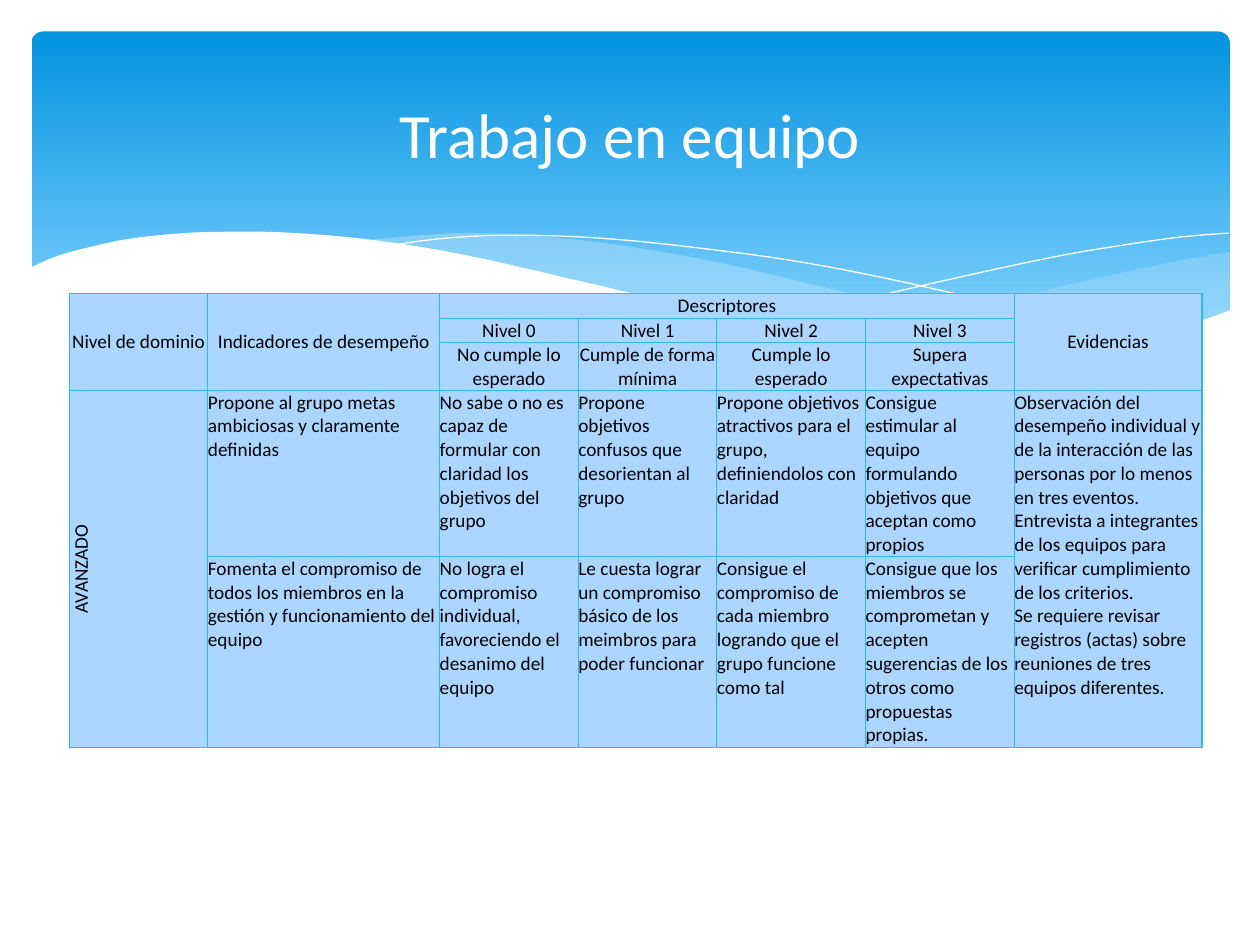
from lxml.etree import SubElement
from pptx import Presentation
from pptx.dml.color import RGBColor
from pptx.enum.shapes import MSO_SHAPE
from pptx.enum.text import MSO_ANCHOR, PP_ALIGN
from pptx.oxml.ns import qn
from pptx.util import Inches, Pt

WHITE = RGBColor(255, 255, 255)
BLACK = RGBColor(0, 0, 0)
DEEP = RGBColor(0x02, 0x93, 0xE0)
LIGHT = RGBColor(0x83, 0xD3, 0xFE)
MIST = RGBColor(0xC6, 0xE7, 0xFC)
CELL = RGBColor(0xAB, 0xD6, 0xFF)
EDGE = RGBColor(0x31, 0xB6, 0xFD)

TITLE = "Trabajo en equipo"
ROWS = [
    ["Nivel de dominio", "Indicadores de desempeño", "Descriptores", "", "", "", "Evidencias"],
    ["", "", "Nivel 0", "Nivel 1", "Nivel 2", "Nivel 3", ""],
    ["", "", "No cumple lo esperado", "Cumple de forma mínima",
     "Cumple lo esperado", "Supera expectativas", ""],
    ["AVANZADO",
     "Propone al grupo metas ambiciosas y claramente definidas",
     "No sabe o no es capaz de formular con claridad los objetivos del grupo",
     "Propone objetivos confusos que desorientan al grupo",
     "Propone objetivos atractivos para el grupo, definiendolos con claridad",
     "Consigue estimular al equipo formulando objetivos que aceptan como propios",
     "Observación del desempeño individual y de la interacción de las personas "
     "por lo menos en tres eventos.\n"
     "Entrevista a integrantes de los equipos para verificar cumplimiento de los criterios.\n"
     "Se requiere revisar registros (actas) sobre reuniones de tres equipos diferentes."],
    ["",
     "Fomenta el compromiso de todos los miembros en la gestión y funcionamiento del equipo",
     "No logra el compromiso individual, favoreciendo el desanimo del equipo",
     "Le cuesta lograr un compromiso básico de los meimbros para poder funcionar",
     "Consigue el compromiso de cada miembro logrando que el grupo funcione como tal",
     "Consigue que los miembros se comprometan y acepten sugerencias de los otros "
     "como propuestas propias.", ""],
]
WIDTHS = [1.1, 1.84, 1.1, 1.1, 1.18, 1.18, 1.49]
HEIGHTS = [0.2, 0.19, 0.38, 1.32, 1.51]
HEADS = 3
SPANS = [((0, 0), (2, 0)), ((0, 1), (2, 1)), ((0, 2), (0, 5)),
         ((0, 6), (2, 6)), ((3, 0), (4, 0)), ((3, 6), (4, 6))]

WAVES = [
    dict(curves=[
        [(9.76, 2), (9.35, 2.07), (8.61, 2.23), (7.79, 2.42), (7.06, 2.57), (6.61, 2.65)],
        [(6.61, 2.65), (7.05, 2.71), (7.57, 2.76), (8.03, 2.78), (8.54, 2.76),
         (8.97, 2.7), (9.35, 2.62), (9.76, 2.47)]], color=MIST, alpha=29),
    dict(curves=[
        [(8.93, 2.73), (8.37, 2.65), (7.75, 2.54), (7.06, 2.4), (6.29, 2.22), (5.69, 2.08),
         (5.14, 1.98), (4.65, 1.91), (4.2, 1.87), (3.8, 1.85), (3.44, 1.86), (2.86, 1.91)],
        [(2.86, 1.91), (3.42, 1.99), (4.04, 2.11), (4.91, 2.32), (5.66, 2.48), (6.34, 2.61),
         (6.95, 2.7), (7.48, 2.76), (8.07, 2.78), (8.48, 2.77), (8.93, 2.73)]],
        color=MIST, alpha=40),
    dict(curves=[
        [(3.09, 1.95), (3.44, 1.9), (3.87, 1.87), (4.33, 1.87), (4.89, 1.9), (5.56, 1.97),
         (6.36, 2.08), (7.27, 2.26), (8.31, 2.51), (9.07, 2.72)]]),
    dict(curves=[
        [(6.13, 2.57), (6.72, 2.41), (7.48, 2.23), (8.36, 2.04), (8.95, 1.94),
         (9.38, 1.88), (9.75, 1.85)]]),
    dict(curves=[
        [(9.77, 2.46), (9.4, 2.59), (8.99, 2.69), (8.5, 2.75), (8.09, 2.77), (7.61, 2.75),
         (7.08, 2.7), (6.48, 2.62), (5.79, 2.5), (5.03, 2.33), (4.47, 2.2), (3.91, 2.07),
         (3.4, 1.97), (2.92, 1.9), (2.5, 1.86), (2.11, 1.84), (1.77, 1.84), (1.46, 1.85),
         (1.06, 1.89), (0.76, 1.95), (0.46, 2.03), (0.23, 2.13)],
        [(0.23, 3.29), (9.77, 3.29)]], color=WHITE, alpha=100),
]


def write(frame, text, size=11, color=BLACK, align=PP_ALIGN.LEFT):
    frame.word_wrap = True
    for n, line in enumerate(text.split("\n")):
        para = frame.paragraphs[0] if n == 0 else frame.add_paragraph()
        para.alignment = align
        run = para.add_run()
        run.text = line
        run.font.size = Pt(size)
        run.font.name = "Calibri"
        run.font.color.rgb = color


def smooth(knots, steps=4):
    if len(knots) < 3:
        return knots
    pads = [knots[0], *knots, knots[-1]]
    dots = []
    for a, b, c, d in zip(pads, pads[1:], pads[2:], pads[3:]):
        for t in (k / steps for k in range(steps)):
            dots.append(tuple(
                q + t * (r - p) / 2 + t**2 * (2 * p - 5 * q + 4 * r - s) / 2
                + t**3 * (3 * q - p - 3 * r + s) / 2
                for p, q, r, s in zip(a, b, c, d)))
    return dots + [knots[-1]]


def wave(shapes, curves, color=None, alpha=100):
    dots = [(Inches(x), Inches(y)) for curve in curves for x, y in smooth(curve)]
    pen = shapes.build_freeform(*dots[0])
    pen.add_line_segments(dots[1:], close=color is not None)
    shape = pen.convert_to_shape()
    shape.shadow.inherit = False
    if color is None:
        shape.fill.background()
        shape.line.color.rgb = WHITE
        shape.line.width = Pt(0)
        return
    shape.line.fill.background()
    shape.fill.solid()
    shape.fill.fore_color.rgb = color
    if alpha < 100:
        tone = shape.fill._xPr.find(".//" + qn("a:srgbClr"))
        SubElement(tone, qn("a:alpha"), val=str(alpha * 1000))


def paint(cell):
    props = cell._tc.get_or_add_tcPr()
    for side in ("lnL", "lnR", "lnT", "lnB"):
        line = SubElement(props, qn("a:" + side), w=str(Pt(0.75)))
        solid = SubElement(line, qn("a:solidFill"))
        SubElement(solid, qn("a:srgbClr"), val=str(EDGE))
    cell.fill.solid()
    cell.fill.fore_color.rgb = CELL
    cell.margin_left = cell.margin_right = cell.margin_top = cell.margin_bottom = 0


def banner(shapes):
    box = shapes.add_shape(MSO_SHAPE.ROUNDED_RECTANGLE, Inches(0.25), Inches(0.25),
                           Inches(9.51), Inches(2.7))
    box.adjustments[0] = 0.034
    box.shadow.inherit = False
    box.line.fill.background()
    box.fill.gradient()
    box.fill.gradient_angle = 270
    for stop, color, place in zip(box.fill.gradient_stops, (DEEP, LIGHT), (0, 0.9)):
        stop.color.rgb = color
        stop.position = place


def rubric(shapes):
    table = shapes.add_table(len(ROWS), len(WIDTHS), Inches(0.55), Inches(2.33),
                             Inches(sum(WIDTHS)), Inches(sum(HEIGHTS))).table
    table.first_row = table.horz_banding = False
    for col, width in zip(table.columns, WIDTHS):
        col.width = Inches(width)
    for row, height in zip(table.rows, HEIGHTS):
        row.height = Inches(height)
    for r, row in enumerate(ROWS):
        for c, text in enumerate(row):
            cell = table.cell(r, c)
            paint(cell)
            mid = r < HEADS or c == 0
            cell.vertical_anchor = MSO_ANCHOR.MIDDLE if mid else MSO_ANCHOR.TOP
            write(cell.text_frame, text, align=PP_ALIGN.CENTER if mid else PP_ALIGN.LEFT)
    for start, end in SPANS:
        table.cell(*start).merge(table.cell(*end))
    table.cell(HEADS, 0)._tc.get_or_add_tcPr().set("vert", "vert270")


def main():
    deck = Presentation()
    deck.slide_width, deck.slide_height = Inches(10), Inches(7.5)
    shapes = deck.slides.add_slide(deck.slide_layouts[6]).shapes
    banner(shapes)
    for item in WAVES:
        wave(shapes, **item)
    rubric(shapes)
    title = shapes.add_textbox(Inches(0.5), Inches(0.37), Inches(9), Inches(1.37))
    title.text_frame.vertical_anchor = MSO_ANCHOR.MIDDLE
    write(title.text_frame, TITLE, size=36, color=WHITE, align=PP_ALIGN.CENTER)
    deck.save("out.pptx")


if __name__ == "__main__":
    main()
